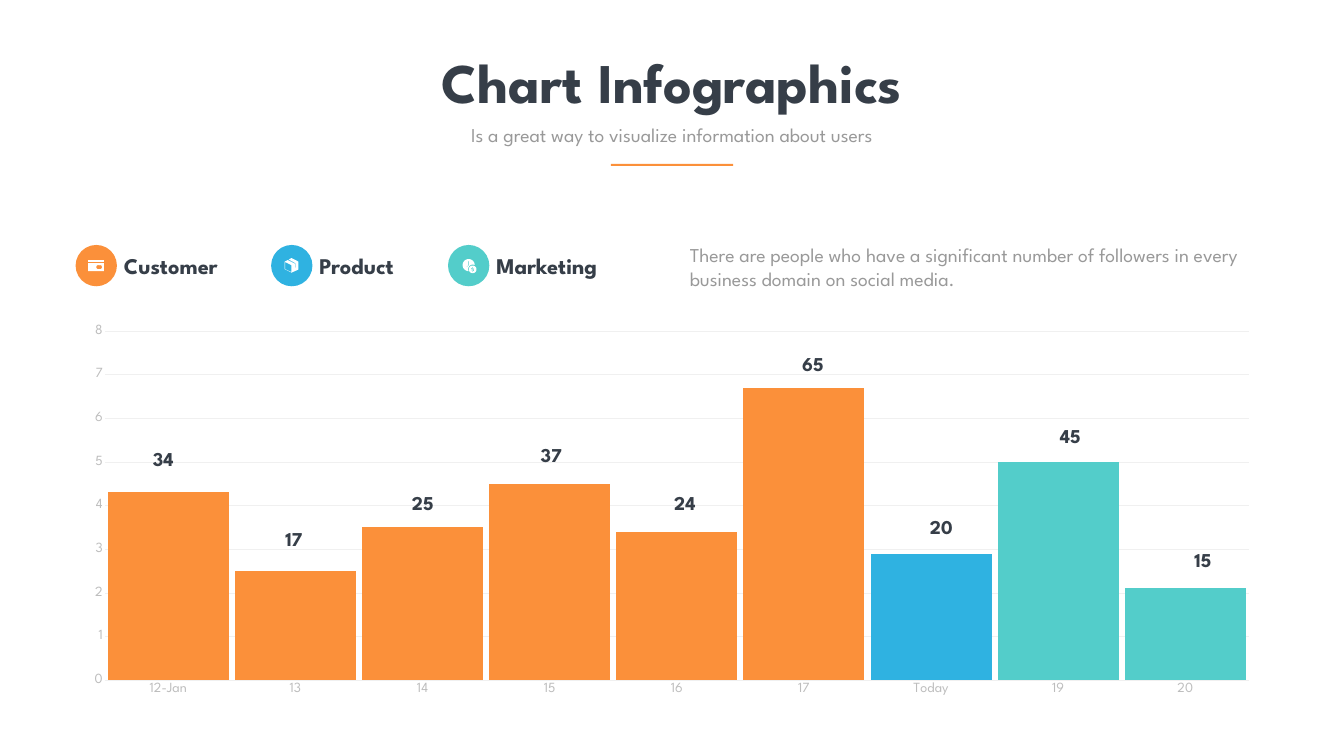
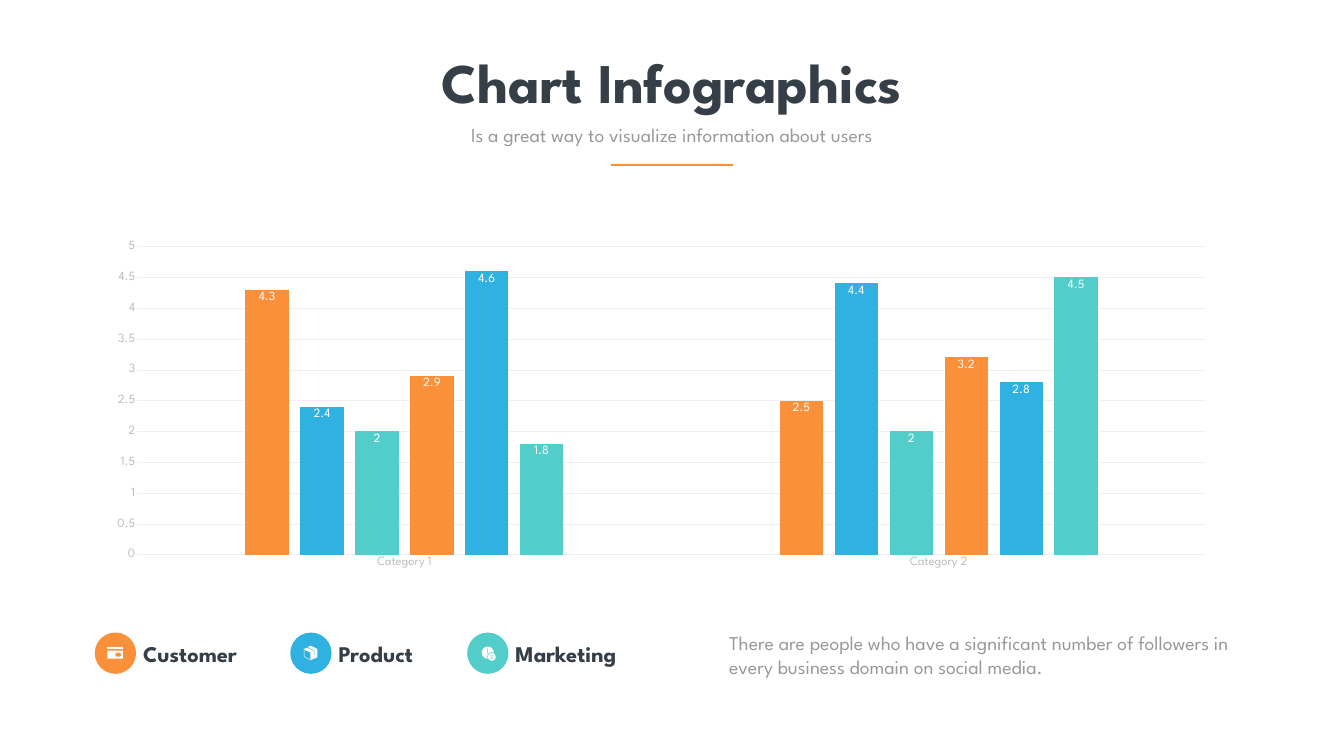
"""Builds two chart infographic slides with a shared header and legend."""
from dataclasses import dataclass
from math import cos, radians, sin

from pptx import Presentation
from pptx.chart.data import CategoryChartData
from pptx.dml.color import RGBColor
from pptx.enum.chart import XL_CHART_TYPE, XL_LABEL_POSITION, XL_TICK_MARK
from pptx.enum.shapes import MSO_SHAPE
from pptx.enum.text import MSO_AUTO_SIZE, PP_ALIGN
from pptx.util import Inches, Pt


@dataclass(frozen=True)
class Theme:
    font: str = "League Spartan"
    dark: str = "363E48"
    gray: str = "999999"
    pale: str = "BDBDBD"
    grid: str = "F0F0F0"
    white: str = "FFFFFF"
    orange: str = "FB903A"
    blue: str = "2FB2E1"
    teal: str = "53CDCA"
    title: int = 80
    label: int = 32
    body: int = 28


THEME = Theme()
TRIO = [THEME.orange, THEME.blue, THEME.teal]


def arc(mid_x, mid_y, radius, start, stop, steps=24):
    """Return points along an arc, with angles in degrees."""
    turns = [radians(start + (stop - start) * i / steps) for i in range(steps + 1)]
    return [(mid_x + radius * cos(t), mid_y + radius * sin(t)) for t in turns]


def block(left, top, right, bottom):
    """Return the corners of a block."""
    return [(left, top), (right, top), (right, bottom), (left, bottom)]


TITLE = "Chart Infographics"
TAGLINE = "Is a great way to visualize information about users"
NOTE = ("There are people who have a significant number of followers in every "
        "business domain on social media.")

CARD = [
    [block(250, 290, 560, 330)],
    [block(250, 360, 560, 520),
     arc(450, 440, 40, 60, 300) + arc(485, 440, 40, -120, 120)],
]
BOX = [[
    [(540, 330), (405, 260), (350, 290), (480, 360), (480, 450), (470, 450),
     (470, 370), (330, 300), (270, 330), (270, 480), (405, 550), (540, 490)],
    [(400, 540), (280, 480), (280, 340), (400, 400)],
]]
CLOCK = [
    [arc(410, 400, 120, -5, -270) + arc(490, 480, 90, 155, 293),
     [(365, 440), (400, 400), (400, 320), (415, 320), (415, 405), (375, 445)]],
    [arc(490, 485, 76, 0, 360),
     [(520, 455), (520, 465), (482, 465), (482, 477), (520, 485), (520, 518),
      (498, 518), (498, 532), (485, 532), (485, 518), (465, 518), (465, 508),
      (505, 508), (505, 494), (467, 485), (467, 455), (485, 455), (485, 440),
      (498, 440), (498, 455)]],
]
LEGEND = [
    ("Customer", 0, 3.48, CARD),
    ("Product", 3.88, 3.48, BOX),
    ("Marketing", 7.39, 2.49, CLOCK),
]

DAYS = ["12-Jan", "13", "14", "15", "16", "17", "Today", "19", "20"]
LEVELS = [4.3, 2.5, 3.5, 4.5, 3.4, 6.7, 2.9, 5, 2.1]
DAY_TINTS = {6: THEME.blue, 7: THEME.teal, 8: THEME.teal}
COUNTS = [
    ("34", 2.68, 8.72), ("17", 5.27, 10.31), ("25", 7.83, 9.59),
    ("37", 10.38, 8.63), ("24", 13.03, 9.59), ("65", 15.57, 6.83),
    ("20", 18.12, 10.07), ("45", 20.68, 8.26), ("15", 23.31, 10.72),
]
GROUPS = ["Category 1", "Category 2"]
PAIRS = [(4.3, 2.5), (2.4, 4.4), (2, 2), (2.9, 3.2), (4.6, 2.8), (1.8, 4.5)]


def rgb(tint):
    return RGBColor.from_string(tint)


def style(font, size, tint, bold=False):
    font.name, font.size, font.bold = THEME.font, Pt(size), bold
    font.color.rgb = rgb(tint)


def paint(shape, tint):
    shape.shadow.inherit = False
    shape.fill.solid()
    shape.fill.fore_color.rgb = rgb(tint)
    shape.line.fill.background()


def write(slide, text, area, size, tint, bold=False, align=PP_ALIGN.LEFT, pitch=None):
    frame = slide.shapes.add_textbox(*map(Inches, area)).text_frame
    frame.word_wrap = True
    frame.auto_size = MSO_AUTO_SIZE.SHAPE_TO_FIT_TEXT
    frame.text = text
    line = frame.paragraphs[0]
    line.alignment = align
    if pitch:
        line.line_spacing = Pt(pitch)
    style(line.runs[0].font, size, tint, bold)


def draw(slide, kind, area, tint):
    paint(slide.shapes.add_shape(kind, *map(Inches, area)), tint)


def header(slide):
    write(slide, TITLE, (6.88, 0.9, 12.91, 1.45), THEME.title, THEME.dark, True, PP_ALIGN.CENTER)
    write(slide, TAGLINE, (8.55, 2.38, 9.56, 0.57), THEME.body, THEME.gray, align=PP_ALIGN.CENTER)
    draw(slide, MSO_SHAPE.RECTANGLE, (12.12, 3.25, 2.43, 0.04), THEME.orange)


def icon(slide, parts, left, top):
    for rings in parts:
        pen = slide.shapes.build_freeform(*rings[0][0], scale=Inches(0.001))
        pen.add_line_segments(rings[0][1:])
        for ring in rings[1:]:
            pen.move_to(*ring[0])
            pen.add_line_segments(ring[1:])
        paint(pen.convert_to_shape(Inches(left), Inches(top)), THEME.white)


def legend(slide, left, top):
    for (name, shift, width, parts), tint in zip(LEGEND, TRIO):
        start = left + shift
        write(slide, name, (start + 0.86, top + 0.1, width, 0.64), THEME.label, THEME.dark, True)
        draw(slide, MSO_SHAPE.OVAL, (start, top, 0.82, 0.82), tint)
        icon(slide, parts, start, top)


def graph(slide, kind, area, names, rows, size, top, step, gap, overlap):
    data = CategoryChartData()
    data.categories = names
    for number, row in enumerate(rows, 1):
        data.add_series(f"Series {number}", row)
    chart = slide.shapes.add_chart(kind, *map(Inches, area), data).chart
    chart.has_legend = chart.has_title = False
    style(chart.font, size, THEME.gray)
    for axis in (chart.category_axis, chart.value_axis):
        axis.major_tick_mark = axis.minor_tick_mark = XL_TICK_MARK.NONE
        style(axis.tick_labels.font, size, THEME.pale)
    scale = chart.value_axis
    scale.minimum_scale, scale.maximum_scale, scale.major_unit = 0, top, step
    scale.format.line.fill.background()
    scale.has_major_gridlines = True
    for rule in (chart.category_axis.format.line, scale.major_gridlines.format.line):
        rule.color.rgb = rgb(THEME.grid)
        rule.width = Pt(0.75)
    plot = chart.plots[0]
    plot.vary_by_categories = False
    plot.gap_width, plot.overlap = gap, overlap
    for index, series in enumerate(plot.series):
        series.invert_if_negative = False
        series.format.fill.solid()
        series.format.fill.fore_color.rgb = rgb(TRIO[index % len(TRIO)])
    return plot


def daily(slide):
    plot = graph(slide, XL_CHART_TYPE.COLUMN_STACKED, (1.4, 6.28, 23.86, 7.67),
                 DAYS, [LEVELS], 20, 8, 1, 5, -100)
    for index, tint in DAY_TINTS.items():
        fill = plot.series[0].points[index].format.fill
        fill.solid()
        fill.fore_color.rgb = rgb(tint)
    for text, left, top in COUNTS:
        write(slide, text, (left, top, 1.12, 0.63), THEME.body, THEME.dark, True,
              PP_ALIGN.CENTER, 40.8)
    legend(slide, 1.5, 4.86)
    write(slide, NOTE, (13.59, 4.78, 11.67, 1.04), THEME.body, THEME.gray)


def grouped(slide):
    plot = graph(slide, XL_CHART_TYPE.COLUMN_CLUSTERED, (1.88, 4.64, 22.5, 6.77),
                 GROUPS, PAIRS, 18, 5, 0.5, 500, -27)
    for series in plot.series:
        labels = series.data_labels
        labels.show_value = True
        labels.position = XL_LABEL_POSITION.INSIDE_END
        style(labels.font, 18, THEME.white)
    legend(slide, 1.88, 12.55)
    write(slide, NOTE, (14.37, 12.47, 10.41, 1.04), THEME.body, THEME.gray)


def main():
    deck = Presentation()
    deck.slide_width, deck.slide_height = Inches(26.67), Inches(15)
    for fill_in in (daily, grouped):
        slide = deck.slides.add_slide(deck.slide_layouts[6])
        header(slide)
        fill_in(slide)
    deck.save("out.pptx")


if __name__ == "__main__":
    main()
